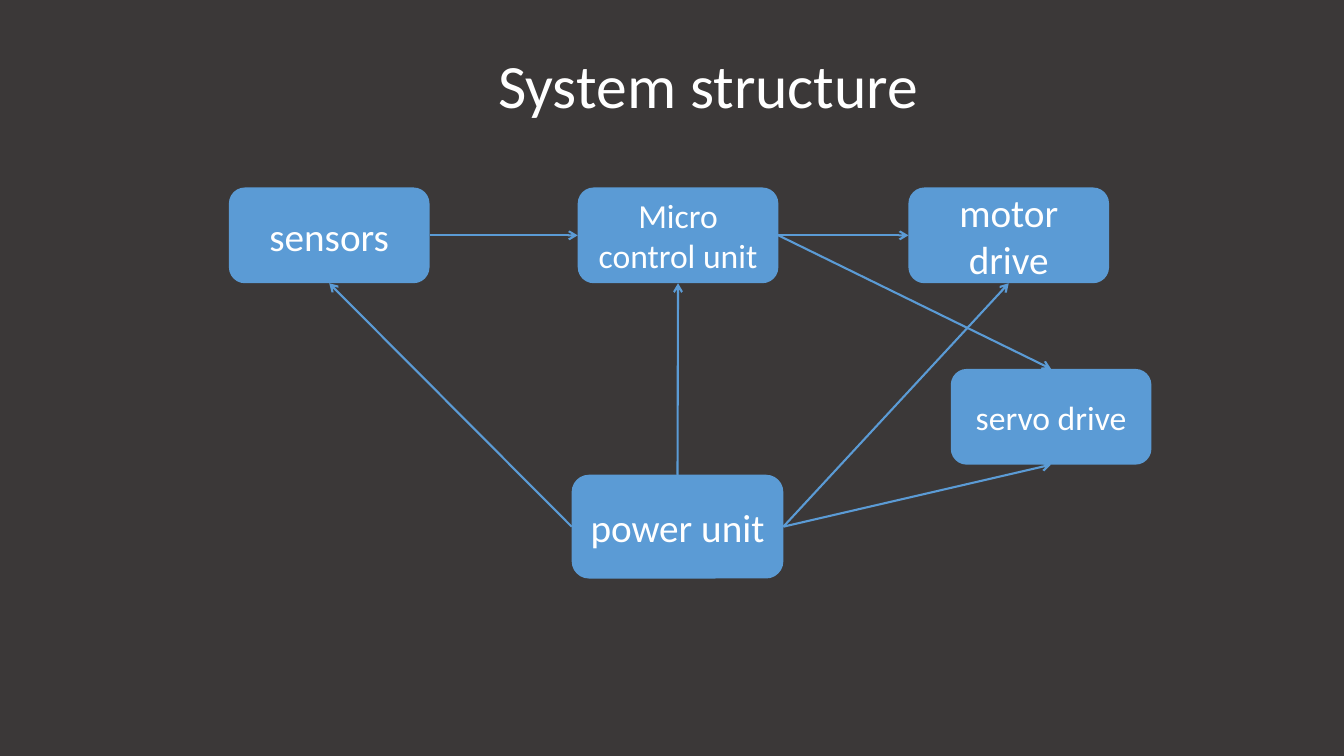
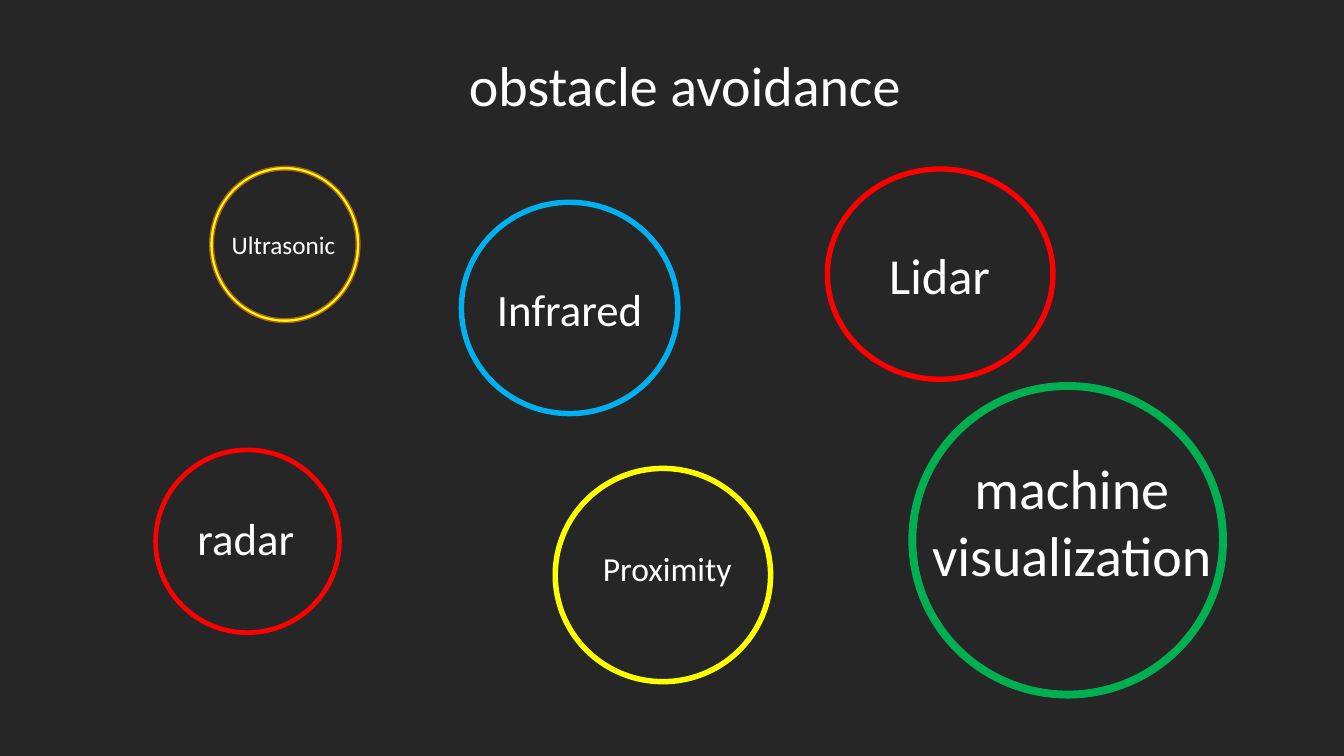
from lxml import etree
from pptx import Presentation
from pptx.dml.color import RGBColor
from pptx.enum.shapes import MSO_CONNECTOR, MSO_SHAPE
from pptx.enum.text import MSO_ANCHOR, MSO_AUTO_SIZE, PP_ALIGN
from pptx.oxml.ns import qn
from pptx.util import Inches, Pt

STRAIGHT = MSO_CONNECTOR.STRAIGHT
ROUNDED = MSO_SHAPE.ROUNDED_RECTANGLE
DONUT = MSO_SHAPE.DONUT
MIDDLE = MSO_ANCHOR.MIDDLE
NO_AUTOFIT = MSO_AUTO_SIZE.NONE
LEFT, CENTER = PP_ALIGN.LEFT, PP_ALIGN.CENTER
TOP_SIDE, LEFT_SIDE, BOTTOM_SIDE, RIGHT_SIDE = range(4)

FONT = "Calibri"
WHITE, BLUE = "FFFFFF", "5B9BD5"
YELLOW, RED, SKY, GREEN, BROWN = "FFFF00", "FF0000", "00B0F0", "00B050", "AF5C24"
TITLE_ONLY = 5
ROW_TOP = 1.86
BOX_WIDTH, BOX_HEIGHT = 1.99, 0.95
RING_THICKNESS = 0.025


def rgb(color):
    """Turn a hex string into a colour."""
    return RGBColor.from_string(color)


def write_text(shape, text, size, alignment=LEFT):
    """Put white text into a shape."""
    frame = shape.text_frame
    frame.word_wrap = True
    frame.auto_size = NO_AUTOFIT
    frame.vertical_anchor = MIDDLE
    frame.text = text
    for paragraph in frame.paragraphs:
        paragraph.alignment = alignment
        paragraph.font.name = FONT
        paragraph.font.size = Pt(size)
        paragraph.font.color.rgb = rgb(WHITE)


def add_slide(presentation, background, title, size, bounds):
    """Add a slide with a plain background and a placed title."""
    slide = presentation.slides.add_slide(presentation.slide_layouts[TITLE_ONLY])
    slide.background.fill.solid()
    slide.background.fill.fore_color.rgb = rgb(background)
    shape = slide.shapes.title
    shape.left, shape.top, shape.width, shape.height = map(Inches, bounds)
    write_text(shape, title, size)
    return slide


def add_filled_shape(slide, kind, bounds, color, outline=None):
    """Add a flat preset shape with an optional outline."""
    shape = slide.shapes.add_shape(kind, *map(Inches, bounds))
    shape.shadow.inherit = False
    shape.fill.solid()
    shape.fill.fore_color.rgb = rgb(color)
    if outline:
        shape.line.color.rgb = rgb(outline)
        shape.line.width = Pt(1)
    else:
        shape.line.fill.background()
    return shape


def add_box(slide, text, size, left, top, width=BOX_WIDTH, height=BOX_HEIGHT):
    """Add a rounded box with centred text."""
    box = add_filled_shape(slide, ROUNDED, (left, top, width, height), BLUE)
    write_text(box, text, size, CENTER)
    return box


def add_arrow(slide, source, source_side, target, target_side):
    """Join two boxes with an arrow."""
    arrow = slide.shapes.add_connector(STRAIGHT, 0, 0, 0, 0)
    arrow.begin_connect(source, source_side)
    arrow.end_connect(target, target_side)
    arrow.line.color.rgb = rgb(BLUE)
    arrow.line.width = Pt(1.5)
    etree.SubElement(arrow.line._get_or_add_ln(), qn("a:tailEnd"), type="arrow")
    etree.SubElement(arrow._element.spPr, qn("a:effectLst"))


def add_ring(slide, bounds, color, outline=None):
    """Add a thin ring."""
    ring = add_filled_shape(slide, DONUT, bounds, color, outline)
    ring.adjustments[0] = RING_THICKNESS


def add_label(slide, text, size, bounds, alignment=LEFT):
    """Add a text box."""
    write_text(slide.shapes.add_textbox(*map(Inches, bounds)), text, size, alignment)


def build_structure(presentation):
    """Build the block diagram of the system."""
    slide = add_slide(presentation, "3B3838", "System structure", 44,
                      (4.84, 0.4, 5.1, 0.96))
    slide.shapes.title.text_frame.paragraphs[0].line_spacing = 0.9
    servo = add_box(slide, "servo drive", 24, 9.43, 3.66)
    sensors = add_box(slide, "sensors", 28, 2.27, ROW_TOP)
    controller = add_box(slide, "Micro control unit", 24, 5.73, ROW_TOP)
    motor = add_box(slide, "motor drive", 28, 9.01, ROW_TOP)
    power = add_box(slide, "power unit", 28, 5.67, 4.71, 2.1, 1.03)
    for link in (
        (power, TOP_SIDE, controller, BOTTOM_SIDE),
        (power, LEFT_SIDE, sensors, BOTTOM_SIDE),
        (sensors, RIGHT_SIDE, controller, LEFT_SIDE),
        (controller, RIGHT_SIDE, motor, LEFT_SIDE),
        (power, RIGHT_SIDE, servo, BOTTOM_SIDE),
        (controller, RIGHT_SIDE, servo, TOP_SIDE),
        (power, RIGHT_SIDE, motor, BOTTOM_SIDE),
    ):
        add_arrow(slide, *link)


def build_avoidance(presentation):
    """Build the overview of obstacle sensors."""
    slide = add_slide(presentation, "262626", "obstacle avoidance", 40,
                      (4.55, 0.45, 4.7, 0.77))
    for ring in (
        ((2.08, 1.65, 1.49, 1.55), YELLOW, BROWN),
        ((4.55, 1.98, 2.2, 2.15), SKY),
        ((8.18, 1.65, 2.29, 2.14), RED),
        ((1.52, 4.44, 1.87, 1.86), RED),
        ((5.48, 4.62, 2.19, 2.17), YELLOW),
        ((9.01, 3.79, 3.16, 3.14), GREEN),
    ):
        add_ring(slide, *ring)
    for label in (
        ("Ultrasonic", 18, (2.2, 2.23, 1.63, 0.4)),
        ("Infrared", 32, (4.83, 2.74, 2.02, 0.64)),
        ("Lidar", 36, (8.72, 2.37, 2.72, 0.71)),
        ("radar", 32, (1.86, 5.01, 1.18, 0.64)),
        ("machine visualization", 40, (9.02, 4.44, 3.22, 1.45), CENTER),
        ("Proximity", 24, (5.88, 5.39, 1.88, 0.5)),
    ):
        add_label(slide, *label)


def main():
    """Build and save the presentation."""
    presentation = Presentation()
    presentation.slide_width = Inches(13.33)
    presentation.slide_height = Inches(7.5)
    build_structure(presentation)
    build_avoidance(presentation)
    presentation.save("out.pptx")


if __name__ == "__main__":
    main()
